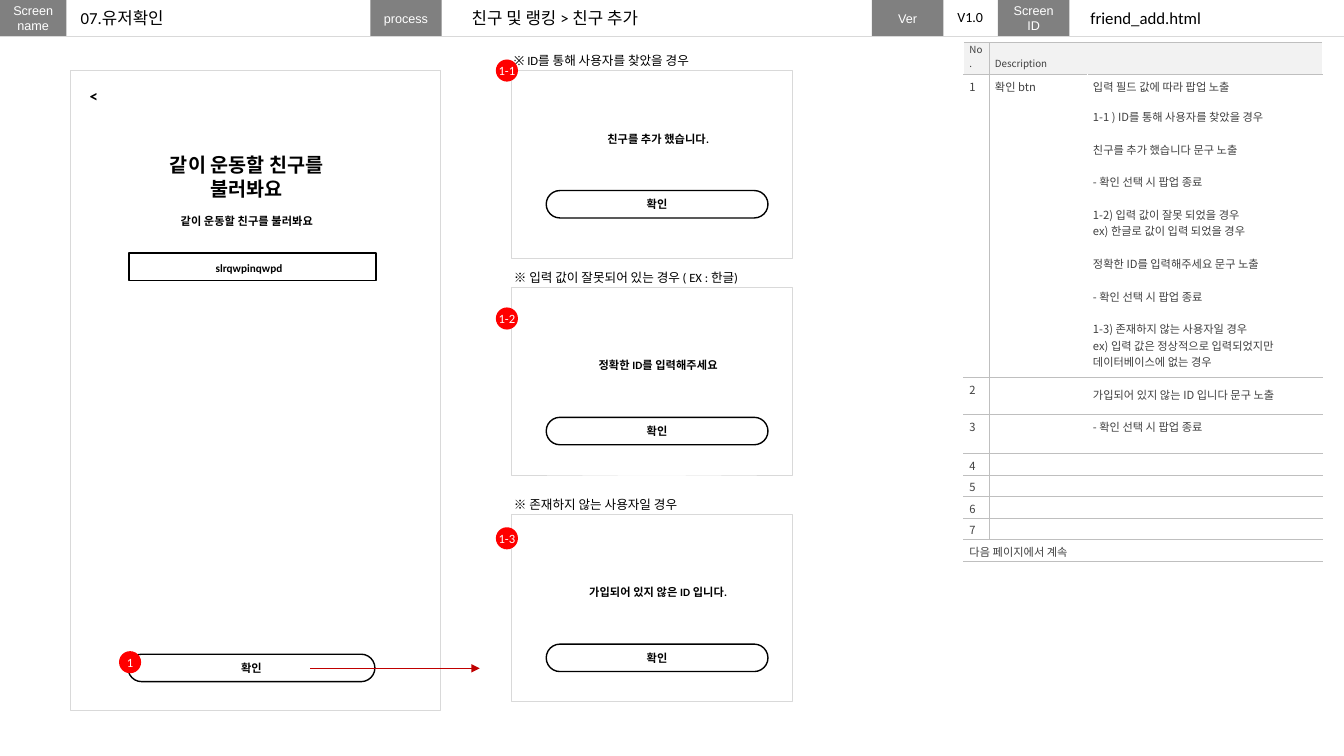
import pptx
import pptx.util
import pptx.dml.color
import pptx.enum.shapes
import pptx.enum.text
import pptx.oxml.ns
from lxml import etree

Pt = pptx.util.Pt
RGBColor = pptx.dml.color.RGBColor
SHAPE = pptx.enum.shapes.MSO_SHAPE
ALIGN = pptx.enum.text.PP_ALIGN
ANCHOR = pptx.enum.text.MSO_ANCHOR
qn = pptx.oxml.ns.qn

BLACK = RGBColor(0x00, 0x00, 0x00)
WHITE = RGBColor(0xFF, 0xFF, 0xFF)
TAG_GREY = RGBColor(0x80, 0x80, 0x80)
FRAME_GREY = RGBColor(0xD9, 0xD9, 0xD9)
HEAD_GREY = RGBColor(0xF2, 0xF2, 0xF2)
RULE_GREY = RGBColor(0xBF, 0xBF, 0xBF)
TABLE_TEXT = RGBColor(0x40, 0x40, 0x40)
BADGE_RED = RGBColor(0xFF, 0x00, 0x00)
ARROW_RED = RGBColor(0xC0, 0x00, 0x00)
NOTO = "Noto Sans CJK KR"

prs = pptx.Presentation()
prs.slide_width, prs.slide_height = Pt(960), Pt(540)
slide = prs.slides.add_slide(prs.slide_layouts[5])
shapes = slide.shapes


def write(paragraph, text, size, color=BLACK, bold=False, font="Calibri", align=ALIGN.LEFT):
    paragraph.alignment = align
    run = paragraph.add_run()
    run.text = text
    run.font.size, run.font.bold, run.font.name = Pt(size), bold, font
    run.font.color.rgb = color
    etree.SubElement(run.font._element, qn("a:ea"), typeface=font)


def draw(kind, left, top, width, height, fill, line=None, line_width=0.25):
    shape = shapes.add_shape(kind, Pt(left), Pt(top), Pt(width), Pt(height))
    shape.shadow.inherit = False
    shape.fill.solid()
    shape.fill.fore_color.rgb = fill
    if line is None:
        shape.line.fill.background()
    else:
        shape.line.color.rgb = line
        shape.line.width = Pt(line_width)
    frame = shape.text_frame
    frame.margin_left = frame.margin_right = frame.margin_top = frame.margin_bottom = 0
    frame.vertical_anchor = ANCHOR.MIDDLE
    return shape


# Header bar: grey tags, then the values beside them
for left, width, lines in [(0, 47.5, ["Screen", "name"]), (264.5, 51, ["process"]),
                           (712.8, 51, ["Screen", "ID"]), (622.8, 51, ["Ver"])]:
    tag = draw(SHAPE.RECTANGLE, left, 0, width, 26, TAG_GREY).text_frame
    for i, line in enumerate(lines):
        paragraph = tag.add_paragraph() if i else tag.paragraphs[0]
        write(paragraph, line, 9, WHITE, font="Arial", align=ALIGN.CENTER)

screen_name = shapes.title
screen_name.left, screen_name.top = Pt(50.4), Pt(2.2)
screen_name.width, screen_name.height = Pt(81.4), Pt(21.8)
screen_name.text_frame.word_wrap = False
screen_name.text_frame.auto_size = pptx.enum.text.MSO_AUTO_SIZE.NONE
screen_name.text_frame.vertical_anchor = ANCHOR.TOP
write(screen_name.text_frame.paragraphs[0], "07.유저확인", 12)

# Main screen frame
draw(SHAPE.RECTANGLE, 50.4, 50.4, 264.3, 457.2, WHITE, FRAME_GREY)

# Popup frames: top, badge top, badge, note, message
popups = [
    (50.4, 42.5, "1-1", "※ ID를 통해 사용자를 찾았을 경우", "친구를 추가 했습니다."),
    (205.2, 219.6, "1-2", "※ 입력 값이 잘못되어 있는 경우 ( EX : 한글)", "정확한 ID를 입력해주세요"),
    (367.2, 376.6, "1-3", "※ 존재하지 않는 사용자일 경우", "가입되어 있지 않은 ID 입니다."),
]
POPUP_STEP = 162
buttons = [(91.4, 467.3, 176.4)]
badges = [(85, 465.1, "1")]
# Text: left, top, width, height, size, bold, centred, words
texts = [
    (676.8, 2.2, 33, 19.4, 10, False, False, "V1.0"),
    (329.8, 2.2, 143.3, 21.8, 12, False, False, "친구 및 랭킹 > 친구 추가"),
    (771.8, 2.2, 94.3, 21.8, 12, False, False, "friend_add.html"),
    (56.9, 57.6, 20.9, 21.8, 12, True, False, "<"),
    (89.3, 105.8, 174.2, 41, 14, True, True, "같이 운동할 친구를 불러봐요"),
    (89.3, 149.8, 174.2, 17, 8, True, True, "같이 운동할 친구를 불러봐요"),
]
for i, (top, badge_top, badge, note, message) in enumerate(popups):
    draw(SHAPE.RECTANGLE, 365, top, 201, 134, WHITE, FRAME_GREY)
    buttons.append((390.2, 136.1 + POPUP_STEP * i, 158.4))
    badges.append((354.2, badge_top, badge))
    texts.append((360, top - 16.2, 186, 18, 9, False, False, note))
    texts.append((407.5, 90.7 + POPUP_STEP * i, 125.3, 17, 8, True, True, message))

for left, top, width, height, size, bold, centred, words in texts:
    box = shapes.add_textbox(Pt(left), Pt(top), Pt(width), Pt(height)).text_frame
    box.word_wrap = centred
    write(box.paragraphs[0], words, size, bold=bold,
          align=ALIGN.CENTER if centred else ALIGN.LEFT)

# Input field
field = draw(SHAPE.RECTANGLE, 92.2, 180.7, 176.4, 19.6, WHITE, BLACK, 1)
field.text_frame.margin_top, field.text_frame.margin_right = Pt(2), Pt(5)
write(field.text_frame.paragraphs[0], "slrqwpinqwpd", 8, bold=True, align=ALIGN.CENTER)

# Confirm buttons and red number badges
for left, top, width in buttons:
    button = draw(SHAPE.ROUNDED_RECTANGLE, left, top, width, 19.6, WHITE, BLACK, 1)
    button.adjustments[0] = 0.5
    write(button.text_frame.paragraphs[0], "확인", 8, bold=True, align=ALIGN.CENTER)
for left, top, number in badges:
    badge = draw(SHAPE.OVAL, left, top, 15.8, 15.8, BADGE_RED)
    badge.text_frame.word_wrap = False
    write(badge.text_frame.paragraphs[0], number, 9, WHITE, align=ALIGN.CENTER)

# Header rule and arrow from the button to the popups
for x1, x2, y, color in [(0, 960, 26, FRAME_GREY), (221.8, 342.7, 477.4, ARROW_RED)]:
    connector = shapes.add_connector(pptx.enum.shapes.MSO_CONNECTOR.STRAIGHT,
                                     Pt(x1), Pt(y), Pt(x2), Pt(y))
    connector.line.color.rgb = color
    connector.line.width = Pt(0.5)
    etree.SubElement(connector._element.spPr, qn("a:effectLst"))
etree.SubElement(connector.line._get_or_add_ln(), qn("a:tailEnd"), type="triangle")

# Description table: each cell lists (space before, text)
popup_closes = "- 확인 선택 시 팝업 종료"
GAP = 11.7
flow = [
    (0, "입력 필드 값에 따라 팝업 노출"), (9.8, "1-1 ) ID를 통해 사용자를 찾았을 경우"),
    (GAP, "친구를 추가 했습니다 문구 노출"), (GAP, popup_closes),
    (GAP, "1-2) 입력 값이 잘못 되었을 경우"), (0, "ex) 한글로 값이 입력 되었을 경우"),
    (GAP, "정확한 ID를 입력해주세요 문구 노출"), (GAP, popup_closes),
    (GAP, "1-3) 존재하지 않는 사용자일 경우"), (0, "ex) 입력 값은 정상적으로 입력되었지만"),
    (0, "데이터베이스에 없는 경우"),
]
rows = [
    (22.9, ["No.", "Description", ""]), (216.4, ["1", "확인 btn", flow]),
    (26.4, ["2", "", "가입되어 있지 않는 ID 입니다 문구 노출"]), (27.9, ["3", "", popup_closes]),
] + [(15.4, [str(n), "", ""]) for n in range(4, 8)] + [(15.4, ["다음 페이지에서 계속", "", ""])]
last = len(rows) - 1
graphic = shapes.add_table(len(rows), 3, Pt(688.5), Pt(30.2), Pt(256.4),
                           Pt(sum(height for height, _ in rows)))
table = graphic.table
table.first_row = table.horz_banding = False
for column, width in zip(table.columns, [18.2, 70, 168.2]):
    column.width = Pt(width)
table.cell(0, 1).merge(table.cell(0, 2))
table.cell(last, 0).merge(table.cell(last, 2))

for r, (height, contents) in enumerate(rows):
    table.rows[r].height = Pt(height)
    for c, content in enumerate(contents):
        cell = table.cell(r, c)
        cell.margin_left = cell.margin_right = Pt(4)
        cell.margin_top, cell.margin_bottom = Pt(2.8), Pt(0)
        if r == 0:
            cell.margin_top, cell.margin_bottom = Pt(0), Pt(2.5)
            cell.vertical_anchor = ANCHOR.BOTTOM
            cell.fill.solid()
            cell.fill.fore_color.rgb = HEAD_GREY
        else:
            cell.fill.background()
        if (r, c) == (2, 2):
            cell.margin_top = Pt(6.3)
        lines = [(0, content)] if isinstance(content, str) else content
        for i, (space, line) in enumerate(lines):
            paragraph = cell.text_frame.add_paragraph() if i else cell.text_frame.paragraphs[0]
            if line:
                paragraph.space_before = Pt(space)
                write(paragraph, line, 8 if r else 7, TABLE_TEXT, font=NOTO)
            else:
                etree.SubElement(paragraph._p, qn("a:endParaRPr"), sz="800")
        # Rules above and below every row, one upright after the number column
        edges = ["a:lnT", "a:lnB"]
        if r < last and c < 2:
            edges.insert(0, "a:lnL" if c else "a:lnR")
        for i, edge in enumerate(edges):
            rule = etree.Element(qn(edge), w=str(Pt(0.25)))
            ink = etree.SubElement(rule, qn("a:solidFill"))
            etree.SubElement(ink, qn("a:srgbClr"), val=str(RULE_GREY))
            cell._tc.get_or_add_tcPr().insert(i, rule)

prs.save("out.pptx")
